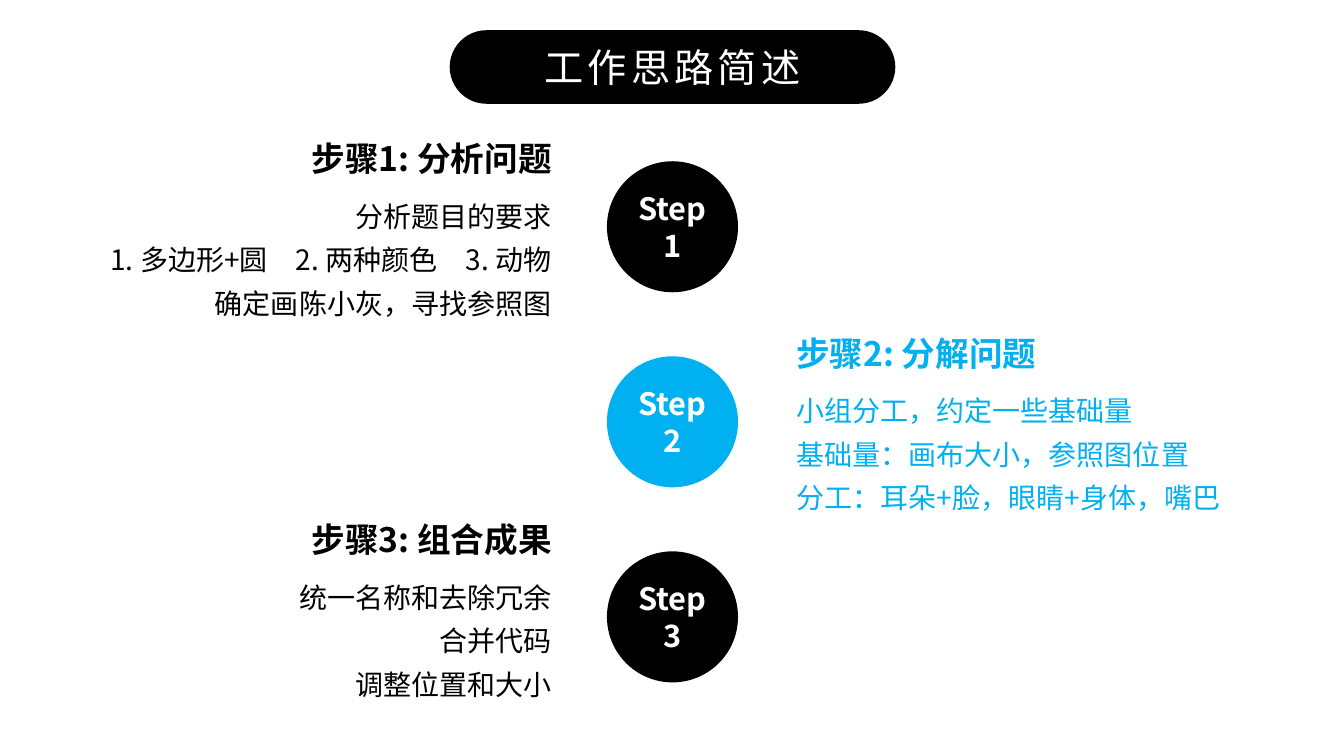
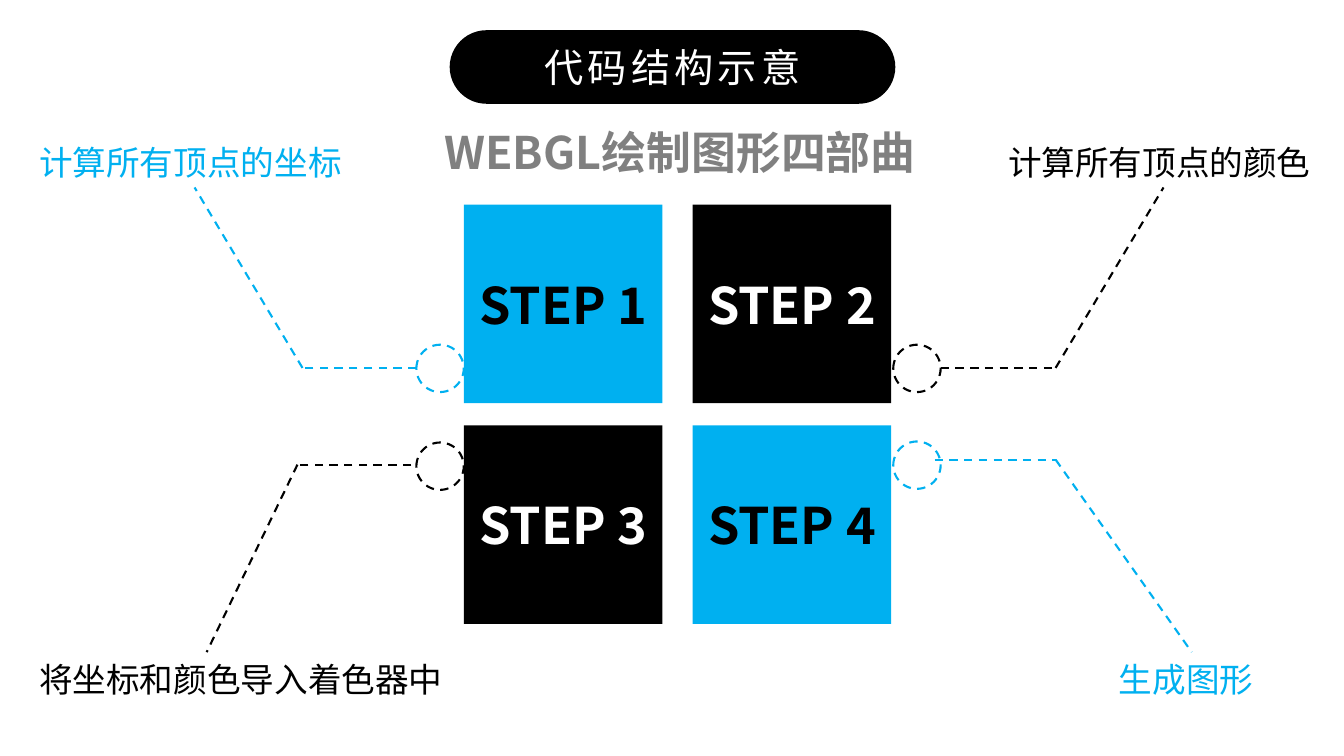
from lxml import etree
from pptx import Presentation
from pptx.dml.color import RGBColor
from pptx.enum import dml, shapes, text
from pptx.oxml import ns
from pptx.util import Inches, Pt

FONT = "Noto Sans CJK SC"
BLACK = RGBColor(0x00, 0x00, 0x00)
WHITE = RGBColor(0xFF, 0xFF, 0xFF)
BLUE = RGBColor(0x00, 0xB0, 0xF0)
GRAY = RGBColor(0x80, 0x80, 0x80)
SHAPE = shapes.MSO_SHAPE
ALIGN = text.PP_ALIGN


def write(frame, *lines, size=24, color=BLACK, bold=False,
          align=ALIGN.LEFT, lead=None, track=0):
    """Fill a text frame; lead is line spacing, track is letter spacing in points."""
    frame.word_wrap = True
    for i, line in enumerate(lines):
        para = frame.paragraphs[0] if i == 0 else frame.add_paragraph()
        para.alignment = align
        if lead:
            para.line_spacing = lead
        run = para.add_run()
        run.text = line
        font = run.font
        font.name, font.size, font.bold = FONT, Pt(size), bold
        font.color.rgb = color
        props = run._r.get_or_add_rPr()
        etree.SubElement(props, ns.qn("a:ea")).set("typeface", FONT)
        if track:
            props.set("spc", str(track * 100))


def label(slide, box, *lines, **style):
    frame = slide.shapes.add_textbox(*map(Inches, box)).text_frame
    write(frame, *lines, **style)


def solid(slide, kind, box, fill, words, **style):
    """Add a filled shape with centred text."""
    shape = slide.shapes.add_shape(kind, *map(Inches, box))
    shape.shadow.inherit = False
    shape.fill.solid()
    shape.fill.fore_color.rgb = fill
    shape.line.fill.background()
    shape.text_frame.vertical_anchor = text.MSO_ANCHOR.MIDDLE
    write(shape.text_frame, words, align=ALIGN.CENTER, **style)
    return shape


def dash(line, color):
    line.color.rgb = color
    line.width = Pt(1.5)
    line.dash_style = dml.MSO_LINE.DASH


def ring(slide, left, top, color):
    shape = slide.shapes.add_shape(
        SHAPE.OVAL, *map(Inches, (left, top, 0.47, 0.47)))
    shape.shadow.inherit = False
    shape.fill.background()
    dash(shape.line, color)


def link(slide, start, end, color):
    line = slide.shapes.add_connector(
        shapes.MSO_CONNECTOR.STRAIGHT, *map(Inches, start + end))
    etree.SubElement(line._element.spPr, ns.qn("a:effectLst"))
    dash(line.line, color)


def page(deck, title):
    """Add a blank slide with the title pill."""
    slide = deck.slides.add_slide(deck.slide_layouts[6])
    pill = solid(slide, SHAPE.ROUNDED_RECTANGLE, (4.46, 0.3, 4.42, 0.73),
                 BLACK, title, size=28, color=WHITE, track=3)
    pill.adjustments[0] = 0.5
    return slide


def step(slide, num, box, head, lines, color, align):
    """Place a numbered disc on the centre line and its notes in the box."""
    left, top, width = box
    solid(slide, SHAPE.OVAL, (6.02, 1.6 + 1.935 * (num - 1), 1.3, 1.3),
          color, f"Step {num}", size=22, color=WHITE, bold=True)
    label(slide, (left, top, width, 0.5), f"步骤{num}: {head}",
          color=color, bold=True, align=align)
    label(slide, (left, top + 0.505, width, 1.41), *lines,
          size=20, color=color, align=align, lead=1.3)


def plan(deck):
    slide = page(deck, "工作思路简述")
    steps = [
        ((0.44, 1.32, 5.13), "分析问题", BLACK, ALIGN.RIGHT,
         ["分析题目的要求", "1. 多边形+圆　2. 两种颜色　3. 动物",
          "确定画陈小灰，寻找参照图"]),
        ((7.8, 3.25, 5.45), "分解问题", BLUE, ALIGN.LEFT,
         ["小组分工，约定一些基础量", "基础量：画布大小，参照图位置",
          "分工：耳朵+脸，眼睛+身体，嘴巴"]),
        ((0.44, 5.1, 5.13), "组合成果", BLACK, ALIGN.RIGHT,
         ["统一名称和去除冗余", "合并代码", "调整位置和大小"]),
    ]
    for num, (box, head, color, align, lines) in enumerate(steps, 1):
        step(slide, num, box, head, lines, color, align)


def tiles(slide, left, top):
    """Draw the two by two grid of steps."""
    side = 1.97
    for i in range(4):
        row, col = divmod(i, 2)
        fill, ink = (BLUE, BLACK) if row == col else (BLACK, WHITE)
        box = (left + col * 2.27, top + row * 2.19, side, side)
        solid(slide, SHAPE.RECTANGLE, box, fill, f"STEP {i + 1}",
              size=36, color=ink, bold=True)


def callout(slide, box, words, color, spot, near, bend, far):
    """Join a ring at spot to a label by a level line and a slanted one."""
    ring(slide, *spot, color)
    link(slide, near, (bend[0], near[1]), color)
    link(slide, bend, far, color)
    label(slide, box + (0.5,), words, color=color)


def code(deck):
    slide = page(deck, "代码结构示意")
    tiles(slide, 4.6, 2.03)
    notes = [
        ((0.29, 1.36, 3.27), "计算所有顶点的坐标", BLUE,
         (4.13, 3.42), (4.13, 3.65), (3, 3.65), (1.93, 1.86)),
        ((9.9, 1.36, 3.27), "计算所有顶点的颜色", BLACK,
         (8.86, 3.42), (9.33, 3.65), (10.47, 3.65), (11.54, 1.86)),
        ((0.29, 6.49, 4.26), "将坐标和颜色导入着色器中", BLACK,
         (4.13, 4.39), (4.08, 4.61), (2.95, 4.61), (2.05, 6.47)),
        ((11, 6.49, 1.64), "生成图形", BLUE,
         (8.86, 4.38), (9.27, 4.56), (10.47, 4.56), (11.82, 6.47)),
    ]
    for note in notes:
        callout(slide, *note)
    label(slide, (4.31, 1.19, 5.53, 0.64), "WEBGL绘制图形四部曲",
          size=32, color=GRAY, bold=True)


def main():
    deck = Presentation()
    deck.slide_width, deck.slide_height = Inches(13.33), Inches(7.5)
    plan(deck)
    code(deck)
    deck.save("out.pptx")


if __name__ == "__main__":
    main()
